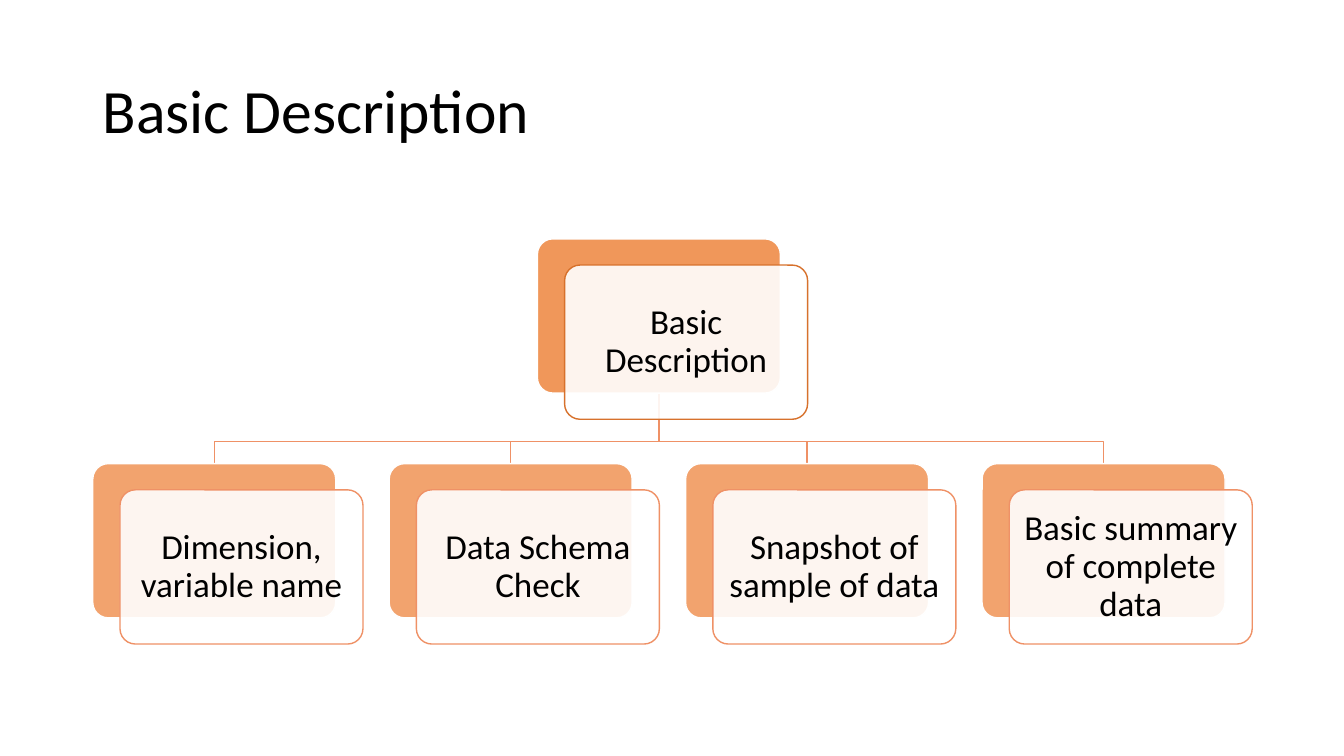
from pptx import Presentation
from pptx.dml.color import RGBColor
from pptx.enum import shapes, text
from pptx.oxml import parse_xml
from pptx.oxml.ns import nsdecls
from pptx.util import Inches, Pt

TITLE = "Basic Description"
ROOT = "Basic Description"
LEAVES = [
    "Dimension, variable name",
    "Data Schema Check",
    "Snapshot of sample of data",
    "Basic summary of complete data",
]
FONT = "Calibri"
BLACK, WHITE = "000000", "FFFFFF"
ORANGE, DARK, LIGHT = "ED7D31", "D7712C", "EF9166"

WIDE, HIGH = 2.41, 1.53      # one card
SHIFT_X, SHIFT_Y = 0.27, 0.26  # front card against back card
LEFT, STEP = 0.92, 2.94
ROOT_TOP, BUS, LEAF_TOP = 2.37, 4.38, 4.6

prs = Presentation()
prs.slide_width, prs.slide_height = Inches(13.33), Inches(7.5)
slide = prs.slides.add_slide(prs.slide_layouts[6])


def rgb(code):
    return RGBColor.from_string(code)


def write(frame, words, size, align, inset):
    frame.word_wrap = True
    frame.vertical_anchor = text.MSO_ANCHOR.MIDDLE
    frame.margin_left = frame.margin_right = Inches(inset)
    frame.margin_top = frame.margin_bottom = Inches(inset)
    para = frame.paragraphs[0]
    para.alignment = align
    para.line_spacing = 0.9
    run = para.add_run()
    run.text = words
    run.font.size, run.font.name = Pt(size), FONT
    run.font.color.rgb = rgb(BLACK)


def panel(x, y, fill, alpha, line):
    """Add a rounded card whose fill is alpha percent opaque."""
    box = slide.shapes.add_shape(
        shapes.MSO_SHAPE.ROUNDED_RECTANGLE,
        Inches(x), Inches(y), Inches(WIDE), Inches(HIGH))
    box.adjustments[0] = 0.1
    box.shadow.inherit = False
    box.fill.solid()
    box.fill.fore_color.rgb = rgb(fill)
    tint = box.fill._xPr.solidFill.find(".//{*}srgbClr")
    tint.append(parse_xml(f'<a:alpha {nsdecls("a")} val="{alpha * 1000}"/>'))
    box.line.color.rgb = rgb(line)
    box.line.width = Pt(1)
    return box


def node(x, y, words, alpha, line):
    panel(x, y, ORANGE, alpha, WHITE)
    front = panel(x + SHIFT_X, y + SHIFT_Y, WHITE, 90, line)
    write(front.text_frame, words, 25, text.PP_ALIGN.CENTER, 0.1)


def branch(start, end):
    """Draw an elbow from the root card down to a leaf card."""
    points = [(start, ROOT_TOP + HIGH), (start, BUS), (end, BUS), (end, LEAF_TOP)]
    first, *rest = [(Inches(x), Inches(y)) for x, y in points]
    pen = slide.shapes.build_freeform(*first)
    pen.add_line_segments(rest, close=False)
    elbow = pen.convert_to_shape()
    elbow.shadow.inherit = False
    elbow.fill.background()
    elbow.line.color.rgb = rgb(LIGHT)
    elbow.line.width = Pt(1)


head = slide.shapes.add_textbox(Inches(0.92), Inches(0.4), Inches(11.5), Inches(1.45))
write(head.text_frame, TITLE, 44, text.PP_ALIGN.LEFT, 0.1)

lefts = [LEFT + STEP * i for i in range(len(LEAVES))]
root_x = (lefts[0] + lefts[-1]) / 2
for x in reversed(lefts):
    branch(root_x + WIDE / 2, x + WIDE / 2)
node(root_x, ROOT_TOP, ROOT, 80, DARK)
for x, words in zip(lefts, LEAVES):
    node(x, LEAF_TOP, words, 70, LIGHT)

prs.save("out.pptx")
